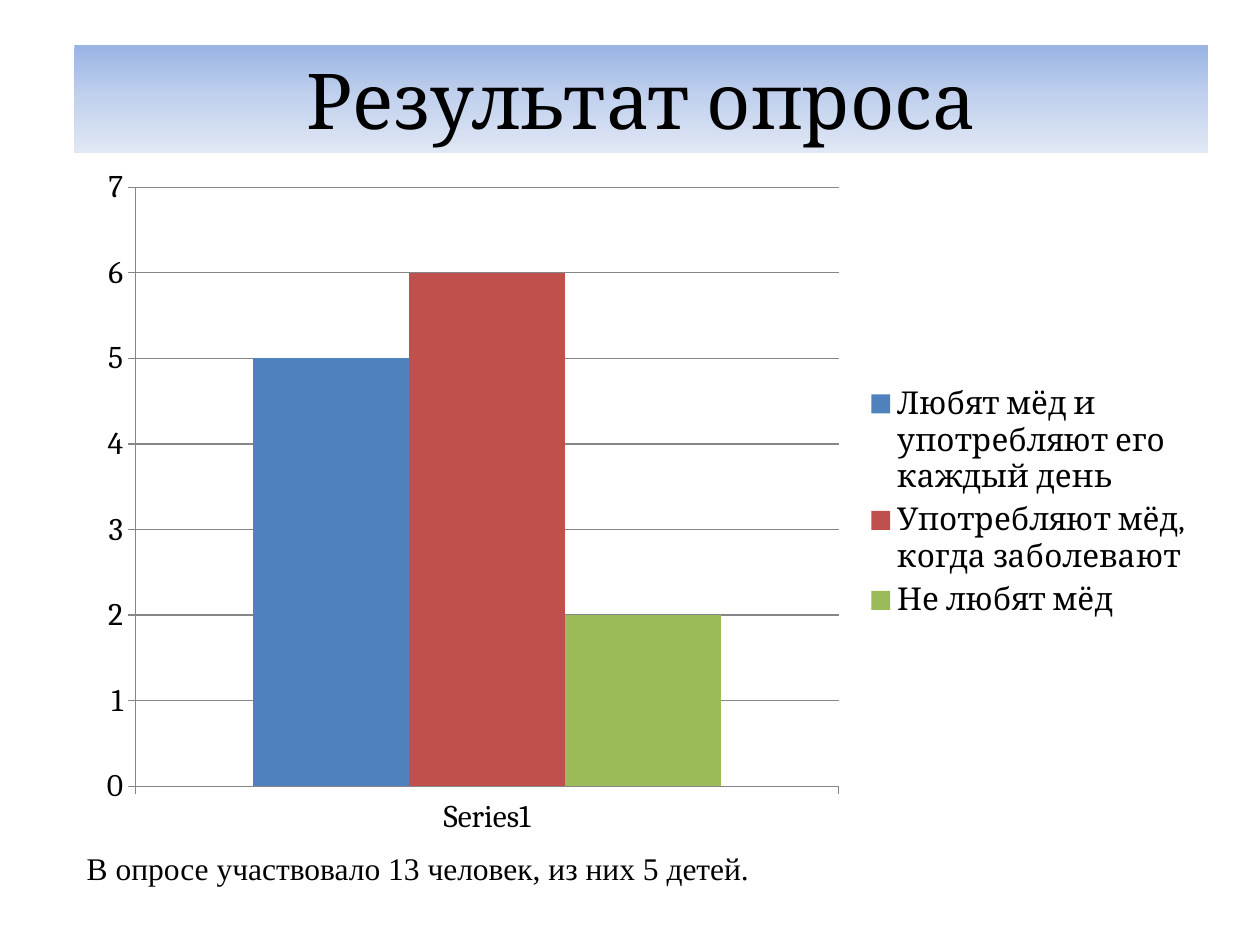
from copy import deepcopy

from pptx import Presentation
from pptx.chart.data import CategoryChartData
from pptx.dml.color import RGBColor
from pptx.enum.chart import XL_CHART_TYPE as ChartType
from pptx.enum.chart import XL_LEGEND_POSITION as LegendPosition
from pptx.enum.chart import XL_TICK_MARK as TickMark
from pptx.enum.shapes import MSO_SHAPE as ShapeType
from pptx.enum.text import MSO_ANCHOR as Anchor
from pptx.enum.text import PP_ALIGN as Align
from pptx.oxml.ns import qn
from pptx.util import Pt

BLACK = RGBColor(0x00, 0x00, 0x00)
GRAY = RGBColor(0x86, 0x86, 0x86)
TITLE_GRADIENT = [
    (0, RGBColor(0x9A, 0xB5, 0xE4)),
    (0.5, RGBColor(0xC2, 0xD1, 0xED)),
    (1, RGBColor(0xE1, 0xE8, 0xF5)),
]
ANSWERS = [
    ("Любят мёд и употребляют его каждый день", 5, RGBColor(0x4F, 0x81, 0xBD)),
    ("Употребляют мёд, когда заболевают", 6, RGBColor(0xC0, 0x50, 0x4D)),
    ("Не любят мёд", 2, RGBColor(0x9B, 0xBB, 0x59)),
]
LEFT, WIDTH = Pt(42.5), Pt(648)


def write_text(shape, text, font_name, size, alignment):
    frame = shape.text_frame
    frame.word_wrap = True
    frame.vertical_anchor = Anchor.MIDDLE
    paragraph = frame.paragraphs[0]
    paragraph.alignment = alignment
    run = paragraph.add_run()
    run.text = text
    run.font.name = font_name
    run.font.size = Pt(size)
    run.font.color.rgb = BLACK


presentation = Presentation()
presentation.slide_width = Pt(720)
presentation.slide_height = Pt(540)
slide = presentation.slides.add_slide(presentation.slide_layouts[6])

# Survey chart
chart_data = CategoryChartData()
chart_data.categories = ["Series1"]
for name, count, color in ANSWERS:
    chart_data.add_series(name, [count])
chart = slide.shapes.add_chart(
    ChartType.COLUMN_CLUSTERED, Pt(48.2), Pt(88.6), Pt(640.8), Pt(396.7), chart_data
).chart
chart.has_title = False
chart.font.name = "Cambria"
chart.font.size = Pt(18)
chart.font.color.rgb = BLACK
chart.has_legend = True
chart.legend.position = LegendPosition.RIGHT
chart.legend.include_in_layout = False

plot = chart.plots[0]
plot.gap_width = 150
plot.overlap = 0
plot.vary_by_categories = False
for series, (name, count, color) in zip(plot.series, ANSWERS):
    series.format.fill.solid()
    series.format.fill.fore_color.rgb = color

value_axis = chart.value_axis
value_axis.minimum_scale = 0
value_axis.maximum_scale = 7
value_axis.major_unit = 1
value_axis.has_major_gridlines = True
for axis in (chart.category_axis, value_axis):
    axis.major_tick_mark = TickMark.OUTSIDE
    axis.minor_tick_mark = TickMark.NONE
for lined in (chart.category_axis, value_axis, value_axis.major_gridlines):
    lined.format.line.color.rgb = GRAY
    lined.format.line.width = Pt(0.75)

# Title band
title = slide.shapes.add_shape(ShapeType.RECTANGLE, LEFT, Pt(26), WIDTH, Pt(61.2))
title.shadow.inherit = False
title.line.fill.background()
title.fill.gradient()
title.fill.gradient_angle = 270
stop_list = title._element.spPr.find(qn("a:gradFill")).find(qn("a:gsLst"))
stop_list.append(deepcopy(stop_list[0]))
for stop, (position, color) in zip(title.fill.gradient_stops, TITLE_GRADIENT):
    stop.position = position
    stop.color.rgb = color
write_text(title, "Результат опроса", "Cambria", 44, Align.CENTER)

# Note under the chart
note = slide.shapes.add_textbox(LEFT, Pt(473.8), WIDTH, Pt(43.9))
write_text(note, "В опросе участвовало 13 человек, из них 5 детей.",
           "Times New Roman", 18, Align.LEFT)

presentation.save("out.pptx")
